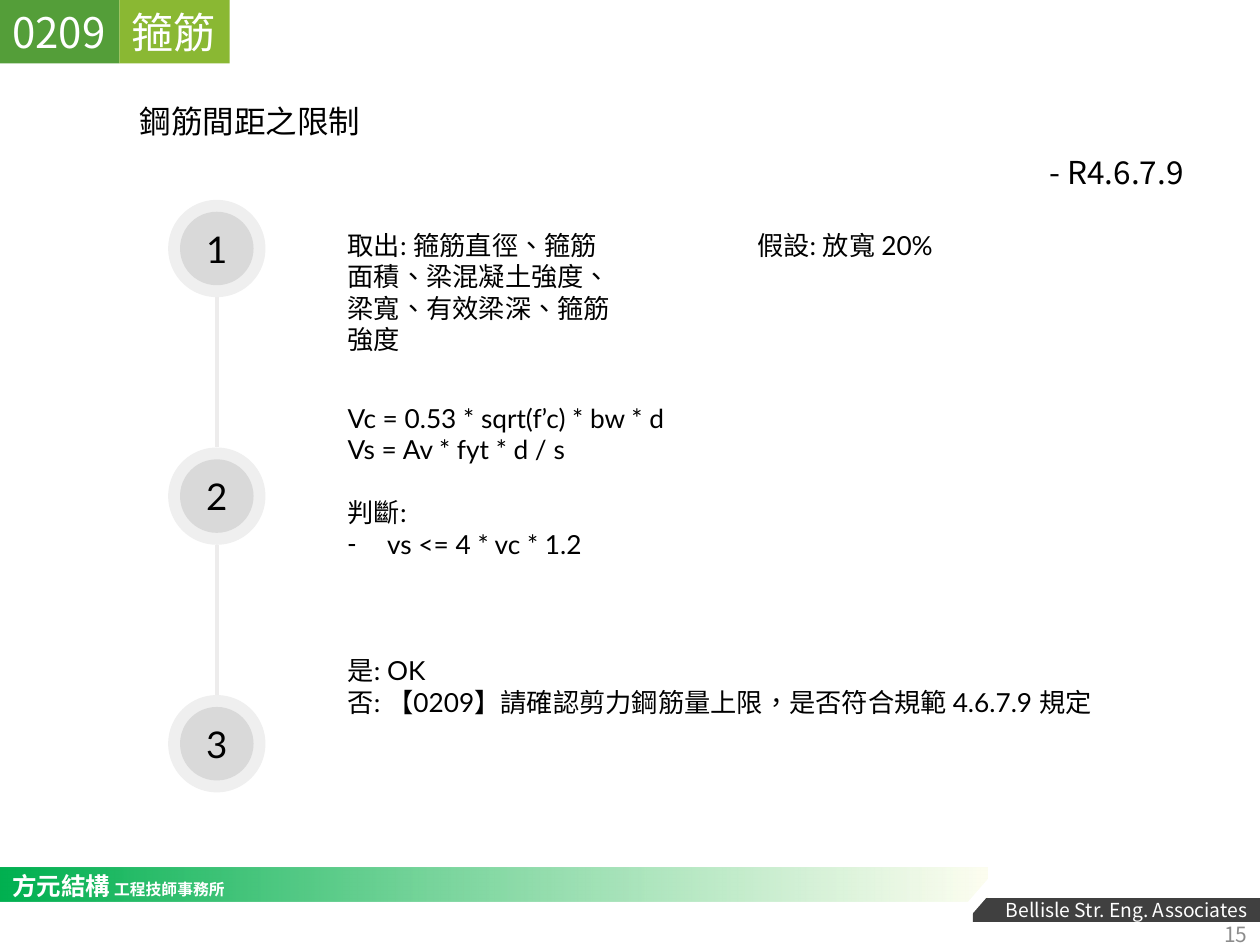
from lxml.etree import SubElement
from pptx import Presentation
from pptx.dml.color import RGBColor
from pptx.enum.shapes import MSO_CONNECTOR, MSO_SHAPE
from pptx.enum.text import MSO_ANCHOR as ANCHOR, MSO_AUTO_SIZE, PP_ALIGN as ALIGN
from pptx.oxml.ns import qn
from pptx.util import Pt

SANS, LATO = "Noto Sans CJK SC", "Lato"
BODY_INSETS = (0, 3.6, 7.2, 3.6)
BOX_INSETS = (7.2, 3.6, 7.2, 3.6)


def paint(color, value, alpha=None):
    """Set a colour from a hex string, with an optional opacity in percent."""
    color.rgb = RGBColor.from_string(value)
    if alpha is not None:
        clr = color._xFill.find(".//" + qn("a:srgbClr"))
        SubElement(clr, qn("a:alpha"), val=str(alpha * 1000))


def add_run(p, text, size, font, color, bold=False):
    r = p.add_run()
    r.text = text
    f = r.font
    f.size, f.name, f.bold = Pt(size), font, bold
    paint(f.color, color)
    rPr = r._r.get_or_add_rPr()
    rPr.set("lang", "zh-TW")
    SubElement(rPr, qn("a:ea"), typeface=SANS)


def write(sp, *lines, size=15, font=LATO, color="000000", bold=False,
          align=ALIGN.LEFT, anchor=ANCHOR.TOP, wrap=True, insets=BOX_INSETS):
    """Fill a shape with one paragraph per line and return the paragraphs."""
    tf = sp.text_frame
    tf.auto_size, tf.word_wrap, tf.vertical_anchor = MSO_AUTO_SIZE.NONE, wrap, anchor
    (tf.margin_left, tf.margin_top,
     tf.margin_right, tf.margin_bottom) = map(Pt, insets)
    for i, line in enumerate(lines):
        p = tf.add_paragraph() if i else tf.paragraphs[0]
        p.alignment = align
        add_run(p, line, size, font, color, bold)
    return tf.paragraphs


def place(sp, x, y, w, h):
    sp.left, sp.top, sp.width, sp.height = map(Pt, (x, y, w, h))
    return sp


def add_text(slide, box, *lines, **fmt):
    return write(slide.shapes.add_textbox(*map(Pt, box)), *lines, **fmt)


def add_block(shapes, kind, box, fill=None):
    sp = shapes.add_shape(kind, *map(Pt, box))
    sp.shadow.inherit = False
    sp.line.fill.background()
    if fill:
        sp.fill.solid()
        paint(sp.fill.fore_color, fill)
    return sp


def set_bullet(p, char=None, indent=0):
    pPr = p._p.get_or_add_pPr()
    pPr.set("marL", str(Pt(indent)))
    pPr.set("indent", str(-Pt(indent)))
    if char:
        SubElement(pPr, qn("a:buChar"), char=char)
    else:
        SubElement(pPr, qn("a:buNone"))


def add_footer(slide):
    bar = add_block(slide.shapes, MSO_SHAPE.RECTANGLE, (0, 496, 564, 19.3))
    bar.fill.gradient()
    bar.fill.gradient_angle = 0
    start, end = bar.fill.gradient_stops
    start.position, end.position = 0, 0.99
    paint(start.color, "00B050")
    paint(end.color, "FBFDED")
    clr = end._gs.find(qn("a:srgbClr"))
    SubElement(clr, qn("a:alpha"), val="86000")

    strip = add_block(slide.shapes, MSO_SHAPE.RECTANGLE, (556, 513.3, 164, 13.5), "404040")
    write(strip, "Bellisle Str. Eng. Associates", size=11, font=SANS,
          color="FFFFFF", align=ALIGN.RIGHT, anchor=ANCHOR.MIDDLE)
    p = add_text(slide, (0, 494, 318, 35), "方元結構", size=14, font=SANS,
                 color="FFFFFF", bold=True)[0]
    add_run(p, " 工程技師事務所", 9, SANS, "FFFFFF", True)
    cut = add_block(slide.shapes, MSO_SHAPE.PARALLELOGRAM, (540.7, 499.7, 34.5, 30), "FFFFFF")
    cut.adjustments[0] = 0.87
    add_text(slide, (558, 519, 162, 29), "15", size=12, font=SANS, color="8C8C8C",
             align=ALIGN.RIGHT, anchor=ANCHOR.MIDDLE)


def add_tags(slide):
    x = 0
    for text, w, fill in (("0209", 68.2, "549E39"), ("箍筋", 63, "8AB833")):
        tag = add_block(slide.shapes, MSO_SHAPE.RECTANGLE, (x, 0, w, 36.3), fill)
        write(tag, text, size=24, font=SANS, color="FFFFFF", wrap=False)
        x += w


def add_timeline(slide, count=3, cx=123.9, top=142, step=141.5, ring=55.6, disc=42):
    def circle(group, cy, d):
        return add_block(group.shapes, MSO_SHAPE.OVAL, (cx - d / 2, cy - d / 2, d, d), "D9D9D9")

    for i in range(count):
        cy = top + i * step
        group = slide.shapes.add_group_shape()
        circle(group, cy, disc)
        halo = circle(group, cy, ring)
        paint(halo.fill.fore_color, "D9D9D9", 42)
        write(halo, str(i + 1), size=21, align=ALIGN.CENTER, anchor=ANCHOR.MIDDLE)
        if i < count - 1:
            ends = (cx, cy + ring / 2, cx, cy + step - ring / 2)
            line = slide.shapes.add_connector(MSO_CONNECTOR.STRAIGHT, *map(Pt, ends))
            line.line.width = Pt(2.25)
            paint(line.line.color, "EDECEC")
            SubElement(line._element.spPr, qn("a:effectLst"))


def add_steps(slide):
    # Step 1: inputs and assumption
    add_text(slide, (198.7, 127.4, 161.3, 80),
             "取出: 箍筋直徑、箍筋面積、梁混凝土強度、梁寬、有效梁深、箍筋強度", insets=BODY_INSETS)
    add_text(slide, (432.7, 127.4, 161.3, 25), "假設: 放寬 20%", insets=BODY_INSETS)

    # Step 2: formulas and check
    body = place(slide.placeholders[1], 198.7, 226, 324, 98)
    paras = write(body, "Vc = 0.53 * sqrt(f’c) * bw * d", "Vs = Av * fyt * d / s",
                  "判斷:", "vs <= 4 * vc * 1.2", insets=BODY_INSETS)
    for p in paras[:3]:
        set_bullet(p)
    set_bullet(paras[3], "-", 22.5)
    for p in paras:
        p.space_before = Pt(0)
    paras[2].space_before = Pt(18)

    # Step 3: result
    add_text(slide, (198.7, 370.6, 456.5, 44), "是: OK",
             "否: 【0209】請確認剪力鋼筋量上限，是否符合規範 4.6.7.9 規定", insets=BODY_INSETS)


def main():
    prs = Presentation()
    prs.slide_width, prs.slide_height = Pt(720), Pt(540)
    slide = prs.slides.add_slide(prs.slide_layouts[1])
    add_footer(slide)
    # Heading and code reference
    title = place(slide.shapes.title, 72.6, 54.7, 142, 29)
    write(title, "鋼筋間距之限制", size=18, font=SANS, wrap=False)
    add_text(slide, (591.5, 84, 92, 29), "- R4.6.7.9", size=18, font=SANS,
             align=ALIGN.RIGHT, wrap=False)
    add_timeline(slide)
    add_steps(slide)
    add_tags(slide)
    prs.save("out.pptx")


if __name__ == "__main__":
    main()
